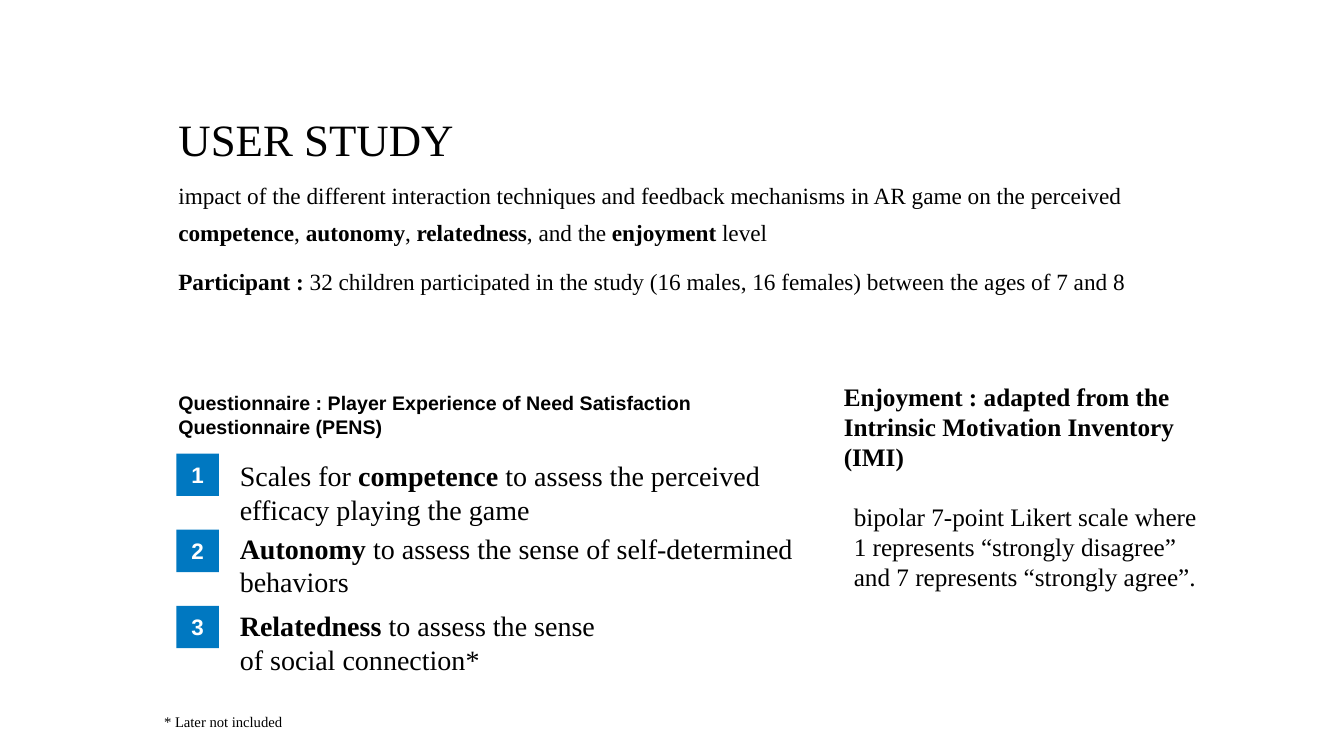
"""Build the user study slide."""
import pptx
import pptx.dml.color
import pptx.enum.shapes
import pptx.enum.text
import pptx.util
from pptx.util import Inches

COLORS = {"text": "000000", "badge": "0078C1", "badge_text": "FFFFFF"}
ANCHOR = pptx.enum.text.MSO_ANCHOR
ALIGN = pptx.enum.text.PP_ALIGN
SERIF, SANS = "Times New Roman", "Arial"


def write_text(shape, text, size=18, font=SERIF, color="text", anchor=ANCHOR.TOP,
               align=ALIGN.LEFT, line_spacing=1.0, bottom_inset=0.05):
    """Fill a shape with text in which | switches bold on and off."""
    frame = shape.text_frame
    frame.word_wrap = True
    frame.auto_size = pptx.enum.text.MSO_AUTO_SIZE.NONE
    frame.vertical_anchor = anchor
    frame.margin_left = frame.margin_right = Inches(0.1)
    frame.margin_top = Inches(0.05)
    frame.margin_bottom = Inches(bottom_inset)
    paragraph = frame.paragraphs[0]
    paragraph.alignment = align
    paragraph.line_spacing = line_spacing
    paragraph.space_before = pptx.util.Pt(0)
    for index, part in enumerate(text.split("|")):
        if part:
            run = paragraph.add_run()
            run.text = part
            run.font.name = font
            run.font.size = pptx.util.Pt(size)
            run.font.bold = index % 2 == 1
            run.font.color.rgb = pptx.dml.color.RGBColor.from_string(COLORS[color])


presentation = pptx.Presentation()
presentation.slide_width = Inches(13.33)
presentation.slide_height = Inches(7.5)
slide = presentation.slides.add_slide(presentation.slide_layouts[5])

title = slide.shapes.title
title.left, title.top = Inches(1.67), Inches(1.07)
title.width, title.height = Inches(10), Inches(0.63)
write_text(title, "USER STUDY", size=32, anchor=ANCHOR.BOTTOM, line_spacing=0.9)

text_blocks = [
    ((1.67, 1.77, 10.45, 1.12),
     "impact of the different interaction techniques and feedback mechanisms in AR game "
     "on the perceived |competence|, |autonomy|, |relatedness|, and the |enjoyment| level",
     {"size": 16.6, "anchor": ANCHOR.BOTTOM, "line_spacing": pptx.util.Pt(26.5),
      "bottom_inset": 0.45}),
    ((1.67, 2.66, 10.45, 0.56),
     "|Participant : |32 children participated in the study (16 males, 16 females) "
     "between the ages of 7 and 8",
     {"size": 16.6, "line_spacing": 0.8}),
    ((1.67, 3.83, 6.39, 0.81),
     "|Questionnaire : Player Experience of Need Satisfaction Questionnaire (PENS)|",
     {"size": 14, "font": SANS}),
    ((8.27, 3.73, 4.08, 1.31),
     "|Enjoyment : adapted from the Intrinsic Motivation Inventory (IMI)|", {}),
    ((8.37, 4.92, 3.66, 1.31),
     "bipolar 7-point Likert scale where 1 represents “strongly disagree” "
     "and 7 represents “strongly agree”.", {}),
    ((1.53, 7.02, 6.67, 0.28), "* Later not included", {"size": 10.5}),
]
for box, text, text_format in text_blocks:
    text_box = slide.shapes.add_textbox(*map(Inches, box))
    write_text(text_box, text, **text_format)

scales = [
    (4.5, 5.77, "Scales for |competence| to assess the perceived efficacy playing the game"),
    (5.22, 5.77, "|Autonomy| to assess the sense of self-determined behaviors"),
    (5.99, 3.85, "|Relatedness| to assess the sense of social connection*"),
]
for index, (top, width, text) in enumerate(scales):
    badge = slide.shapes.add_shape(
        pptx.enum.shapes.MSO_SHAPE.RECTANGLE,
        Inches(1.75), Inches(4.5 + 0.755 * index), Inches(0.42), Inches(0.42))
    badge.shadow.inherit = False
    badge.fill.solid()
    badge.fill.fore_color.rgb = pptx.dml.color.RGBColor.from_string(COLORS["badge"])
    badge.line.fill.background()
    write_text(badge, f"|{index + 1}|", size=16, font=SANS, color="badge_text",
               anchor=ANCHOR.MIDDLE, align=ALIGN.CENTER)
    description = slide.shapes.add_textbox(
        Inches(2.28), Inches(top), Inches(width), Inches(1.11))
    write_text(description, text, size=20)

presentation.save("out.pptx")
